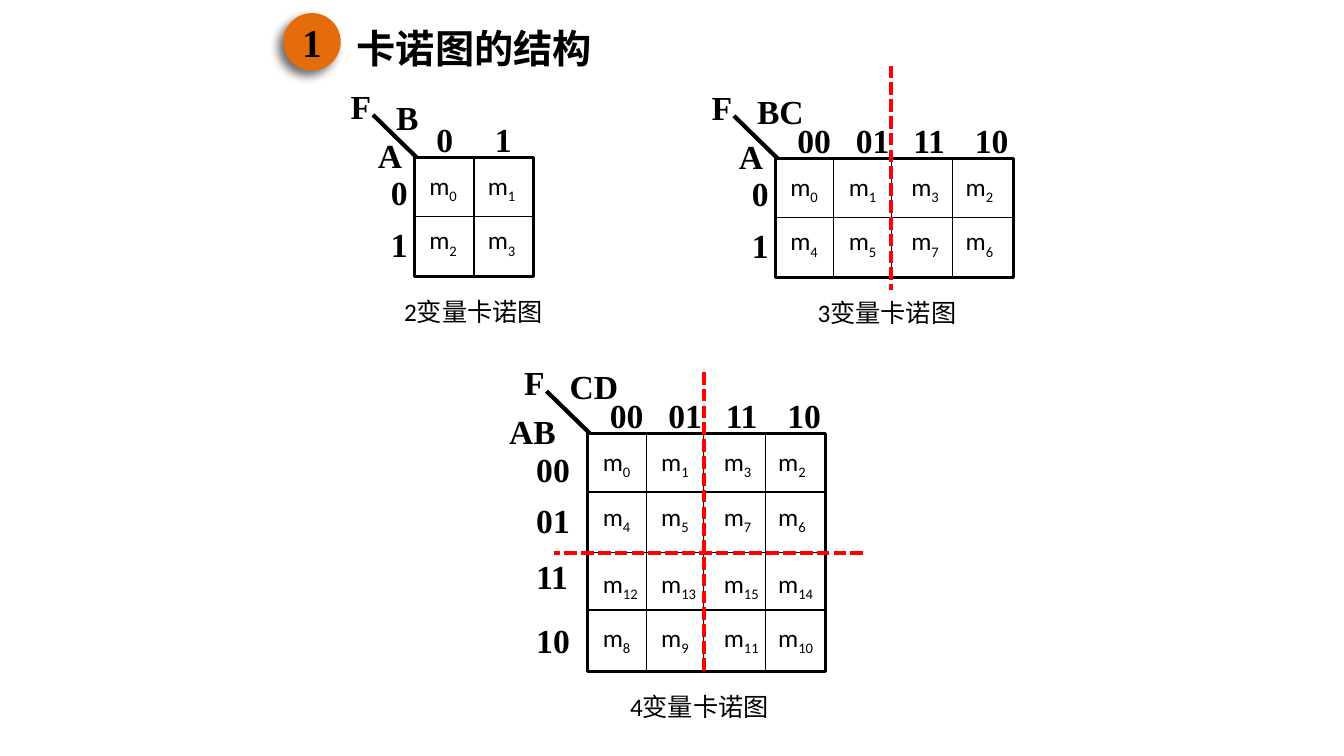
"""Build a slide on the structure of Karnaugh maps with two, three and four variables."""
from itertools import product

from lxml.etree import SubElement
from pptx import Presentation
from pptx.dml.color import RGBColor
from pptx.enum.dml import MSO_LINE
from pptx.enum.shapes import MSO_CONNECTOR, MSO_SHAPE
from pptx.enum.text import MSO_ANCHOR, MSO_AUTO_SIZE, PP_ALIGN
from pptx.oxml.ns import qn
from pptx.util import Inches, Pt

BLACK = RGBColor(0x00, 0x00, 0x00)
RED = RGBColor(0xFF, 0x00, 0x00)
ORANGE = RGBColor(0xE4, 0x6C, 0x0A)

SLIDE_COLUMNS, SLIDE_ROWS = 133.3, 75
CELL = 5.9
COLUMN_EDGES = (0, 5.8, 11.5, 17.6)
ROW_EDGES = (0, 5.8, 11.8, 17.5)
TERM_LEFTS = (0.5, 6.3, 12.5, 17.9)
TERM_TOPS = (0.8, 6.2, 12.9, 18.2)
ROW_CODE_TOPS = (1, 6.1, 11.7, 18)

NUMBER = {"name": "Times New Roman", "size": Pt(28), "bold": True}
HEADING = {"name": "Calibri", "size": Pt(28), "bold": True}
CODE = {"name": "Times New Roman", "size": Pt(24), "bold": True}
TERM = {"name": "Calibri", "size": Pt(18), "bold": False}


def grid(steps):
    """Turn steps of the slide grid, ten to the inch, into a length."""
    return Inches(round(steps / 10, 2))


def add_run(paragraph, text, look):
    """Add one black run in the given look and return it."""
    run = paragraph.add_run()
    run.text = text
    for name, value in look.items():
        setattr(run.font, name, value)
    run.font.color.rgb = BLACK
    return run


def add_text(shapes, box, text, look, wrap=False, subscript=""):
    """Place a text box, with an optional subscript after its text."""
    frame = shapes.add_textbox(*map(grid, box)).text_frame
    frame.word_wrap = wrap
    frame.auto_size = MSO_AUTO_SIZE.SHAPE_TO_FIT_TEXT
    paragraph = frame.paragraphs[0]
    add_run(paragraph, text, look)
    if subscript:
        run = add_run(paragraph, subscript, look)
        run.font._element.set("baseline", "-25000")


def add_line(shapes, start, end, width=1, color=BLACK, dash=None):
    """Draw a straight line without a shadow."""
    line = shapes.add_connector(MSO_CONNECTOR.STRAIGHT, *map(grid, (*start, *end)))
    line.line.width = Pt(width)
    line.line.color.rgb = color
    if dash:
        line.line.dash_style = dash
    SubElement(line._element.spPr, qn("a:effectLst"))
    return line


def add_divider(shapes, frame, start, end, sides, is_middle):
    """Draw a line across the map, joined to the frame when it halves it."""
    divider = add_line(shapes, start, end)
    if is_middle:
        divider.begin_connect(frame, sides[0])
        divider.end_connect(frame, sides[1])


def title_bar(slide, left, top):
    """Place the numbered orange disc and the heading beside it."""
    disc = slide.shapes.add_shape(MSO_SHAPE.OVAL, *map(grid, (left, top, 5.7, 5.7)))
    disc.shadow.inherit = False
    disc.fill.solid()
    disc.fill.fore_color.rgb = ORANGE
    disc.line.fill.background()
    effects = disc._element.spPr.find(qn("a:effectLst"))
    shadow = SubElement(effects, qn("a:outerShdw"), blurRad="88900", dist="63500",
                        dir="8100000", algn="tr", rotWithShape="0")
    tint = SubElement(shadow, qn("a:srgbClr"), val="000000")
    SubElement(tint, qn("a:alpha"), val="57000")
    disc.text_frame.vertical_anchor = MSO_ANCHOR.MIDDLE
    numeral = disc.text_frame.paragraphs[0]
    numeral.alignment = PP_ALIGN.CENTER
    add_run(numeral, "1", NUMBER)
    add_text(slide.shapes, (left + 6.3, top + 0.6, 25.7, 5.7), "卡诺图的结构", HEADING)


def map_frame(shapes, left, top, rows, columns):
    """Draw the outline of a map and the lines between its cells."""
    width, height = CELL * columns, CELL * rows
    frame = shapes.add_shape(MSO_SHAPE.RECTANGLE, *map(grid, (left, top, width, height)))
    frame.shadow.inherit = False
    frame.fill.background()
    frame.line.color.rgb = BLACK
    frame.line.width = Pt(2)
    for edge in ROW_EDGES[1:rows]:
        add_divider(shapes, frame, (left, top + edge), (left + width, top + edge),
                    (1, 3), abs(edge - height / 2) < 0.2)
    for edge in COLUMN_EDGES[1:columns]:
        add_divider(shapes, frame, (left + edge, top), (left + edge, top + height),
                    (0, 2), abs(edge - width / 2) < 0.2)


def karnaugh_map(slide, left, top, row_name, column_name, row_codes, column_codes, caption):
    """Place a whole map, with the upper left corner of its cells at left, top."""
    shapes = slide.shapes.add_group_shape().shapes
    rows, columns = len(row_codes), len(column_codes)
    add_line(shapes, (left + 0.2, top), (left - 4.1, top - 4.2), width=3)
    map_frame(shapes, left, top, rows, columns)

    letters = len(row_name)
    corner_labels = (
        ("F", -7.3, -7.6, 4),
        (row_name, -0.4 - 4.2 * letters, -2.7, 0.5 + 3.2 * letters),
        (column_name, -2.8, -5.8 - 0.7 * len(column_name), 7.8),
    )
    for name, x, y, width in corner_labels:
        add_text(shapes, (left + x, top + y, width, 5.1), name, CODE, wrap=True)
    for code, x in zip(column_codes, COLUMN_EDGES):
        add_text(shapes, (left + x + 1.2, top - 4.3, 5.8, 5.1), code, CODE, wrap=True)
    for code, y in zip(row_codes, ROW_CODE_TOPS):
        width = 0.2 + 2.8 * len(code)
        add_text(shapes, (left - 0.3 - width, top + y, width, 5.1), code, CODE, wrap=True)

    for (row, y), (column, x) in product(zip(row_codes, TERM_TOPS),
                                         zip(column_codes, TERM_LEFTS)):
        index = str(int(row + column, 2))
        add_text(shapes, (left + x, top + y, 4 + 0.9 * len(index), 4), "m", TERM,
                 subscript=index)
    add_text(shapes, (left - 7.2 + 2.6 * columns, top + CELL * rows + 1.5, 15.9, 4),
             caption, TERM, wrap=True)


def fold_lines(slide):
    """Draw the red dashed lines about which the larger maps fold."""
    for start, end in (((88.4, 6.5), (88.4, 28.8)),
                       ((69.8, 36.9), (69.8, 66.6)),
                       ((85.6, 54.9), (54.9, 54.9))):
        add_line(slide.shapes, start, end, 3, RED, MSO_LINE.SQUARE_DOT)


def main():
    """Build the slide and save it."""
    deck = Presentation()
    deck.slide_width, deck.slide_height = grid(SLIDE_COLUMNS), grid(SLIDE_ROWS)
    slide = deck.slides.add_slide(deck.slide_layouts[6])
    bits, gray = ("0", "1"), ("00", "01", "11", "10")
    title_bar(slide, 28.1, 1.3)
    karnaugh_map(slide, 41.1, 15.6, "A", "B", bits, bits, "2变量卡诺图")
    karnaugh_map(slide, 76.9, 15.7, "A", "BC", bits, gray, "3变量卡诺图")
    karnaugh_map(slide, 58.3, 43, "AB", "CD", gray, gray, "4变量卡诺图")
    fold_lines(slide)
    deck.save("out.pptx")


if __name__ == "__main__":
    main()
